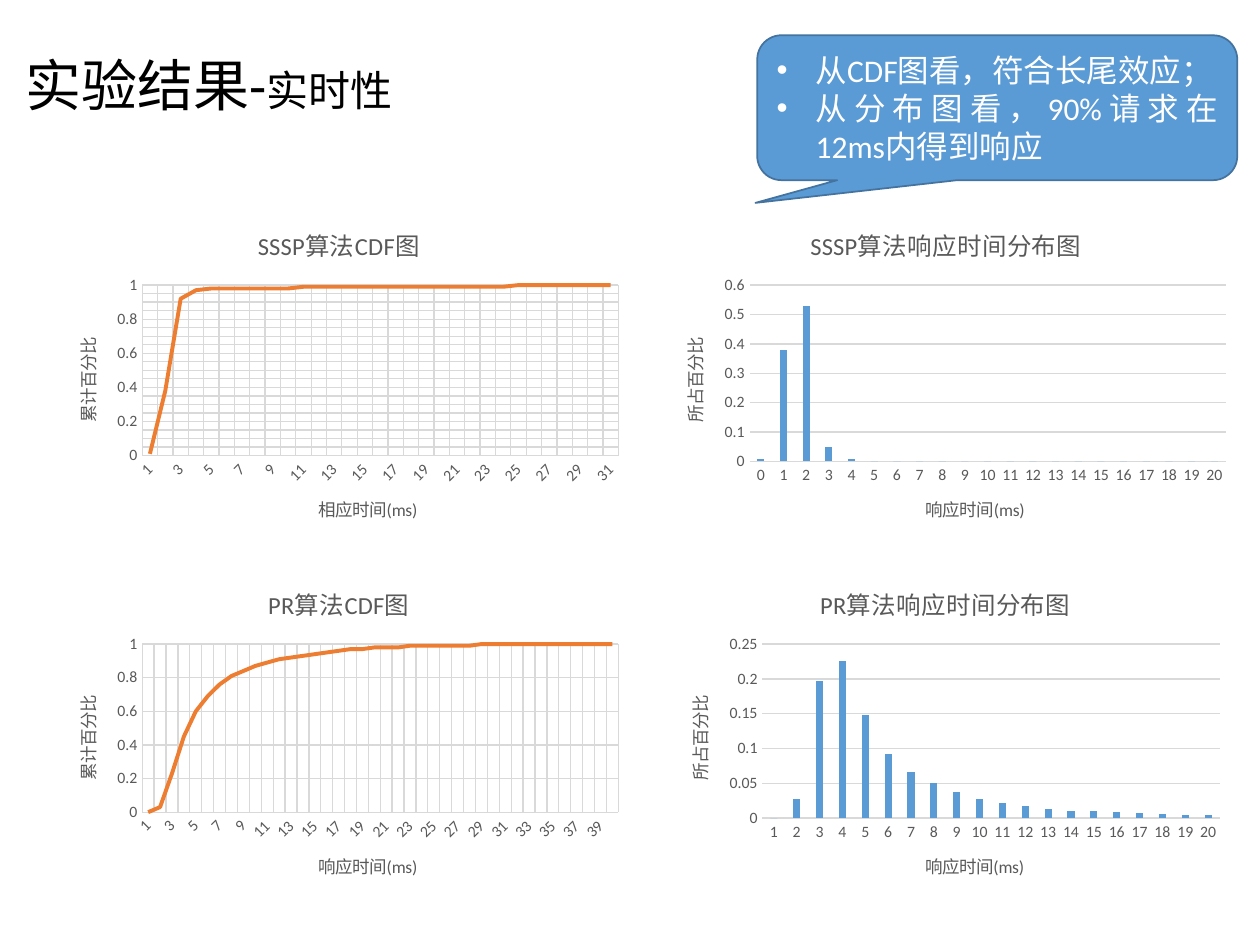
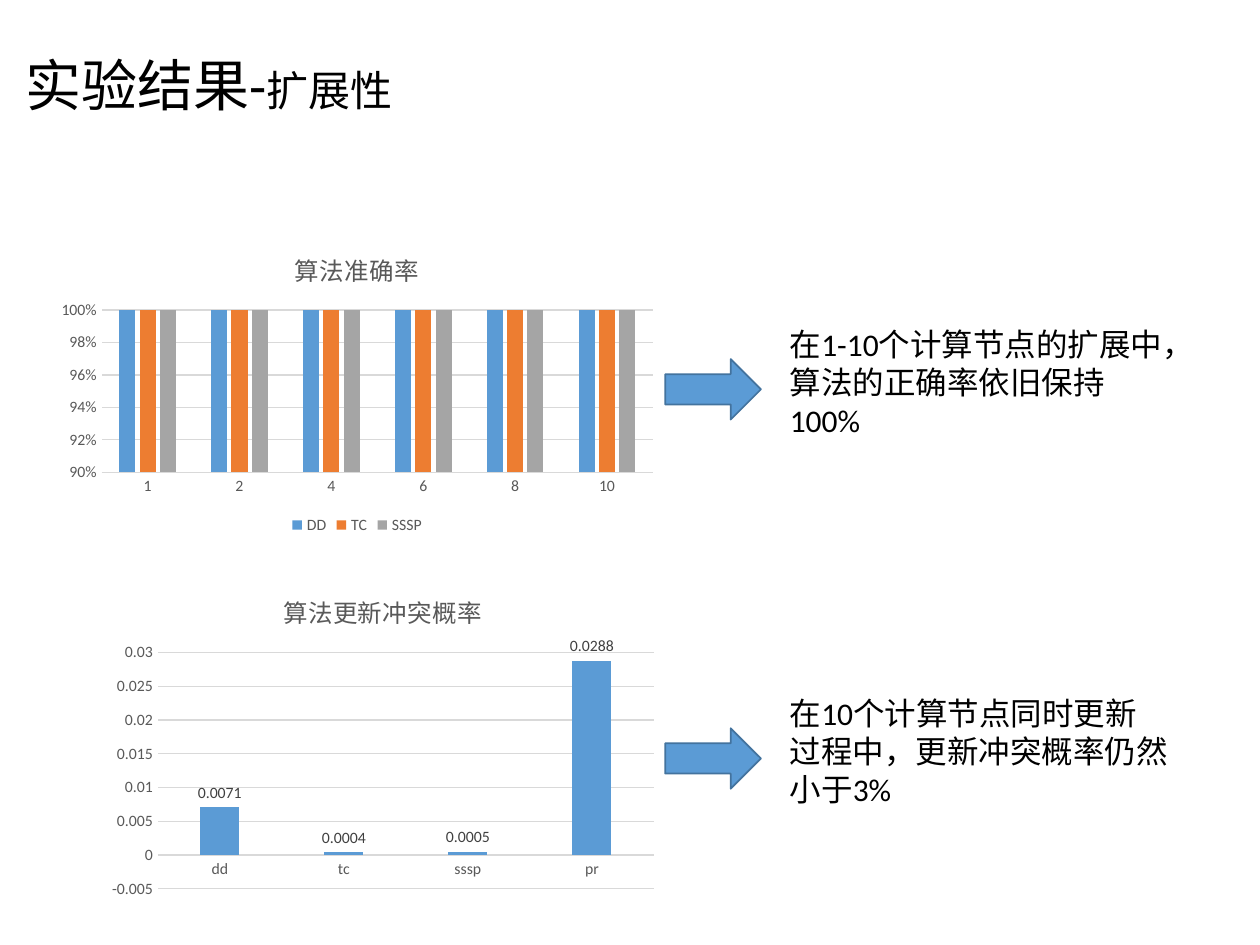
from collections import namedtuple
from copy import deepcopy

from lxml.etree import SubElement
from pptx import Presentation
from pptx.chart.data import CategoryChartData
from pptx.dml.color import RGBColor
from pptx.enum.chart import XL_CHART_TYPE as ChartType
from pptx.enum.chart import XL_LABEL_POSITION as LabelPos
from pptx.enum.chart import XL_LEGEND_POSITION as LegendPos
from pptx.enum.chart import XL_TICK_MARK as TickMark
from pptx.enum.shapes import MSO_SHAPE as Preset
from pptx.enum.text import MSO_ANCHOR as Anchor
from pptx.enum.text import PP_ALIGN as Align
from pptx.oxml.ns import qn
from pptx.util import Inches, Pt

FONT = "Calibri"
COLORS = {
    "blue": "5B9BD5", "orange": "ED7D31", "gray": "A5A5A5", "edge": "43739E",
    "grid": "D9D9D9", "label": "595959", "value": "404040",
    "text": "000000", "on_blue": "FFFFFF",
}
WIDTH, HEIGHT = Inches(10), Inches(7.5)
COL, ROW = WIDTH / 100, HEIGHT / 75  # square grid cells

Box = namedtuple("Box", "left top width height")  # in columns and rows

TITLE_BOX = Box(1, 4.3, 86.2, 5.4)
CDF_LEFT, SHARE_LEFT = 3.8, 52
UPPER_TOP, LOWER_TOP = 16.3, 44.8


def place(box):
    return (round(box.left * COL), round(box.top * ROW),
            round(box.width * COL), round(box.height * ROW))


def color(name):
    return RGBColor.from_string(COLORS[name])


def style_font(font, size, shade):
    font.size, font.name, font.bold = Pt(size), FONT, False
    font.color.rgb = color(shade)


def add_run(paragraph, text, size, shade="text"):
    run = paragraph.add_run()
    run.text = text
    style_font(run.font, size, shade)


def add_blue_shape(slide, preset, box):
    shape = slide.shapes.add_shape(preset, *place(box))
    shape.shadow.inherit = False
    shape.fill.solid()
    shape.fill.fore_color.rgb = color("blue")
    shape.line.color.rgb = color("edge")
    shape.line.width = Pt(1)
    return shape


def add_text_frame(slide, box):
    frame = slide.shapes.add_textbox(*place(box)).text_frame
    frame.word_wrap = True
    return frame


def add_title(slide, topic):
    frame = add_text_frame(slide, TITLE_BOX)
    frame.vertical_anchor = Anchor.MIDDLE
    heading = frame.paragraphs[0]
    heading.line_spacing = 0.9
    add_run(heading, "实验结果-", 32)
    add_run(heading, topic, 24)


def add_callout(slide, box, findings):
    callout = add_blue_shape(slide, Preset.ROUNDED_RECTANGULAR_CALLOUT, box)
    for index, share in enumerate((-0.504, 0.657, 0.167)):
        callout.adjustments[index] = share
    frame = callout.text_frame
    frame.word_wrap = True
    frame.vertical_anchor = Anchor.MIDDLE
    for index, finding in enumerate(findings):
        paragraph = frame.add_paragraph() if index else frame.paragraphs[0]
        paragraph.alignment = Align.JUSTIFY
        properties = paragraph._p.get_or_add_pPr()
        indent = Inches(0.31)
        properties.set("marL", str(indent))
        properties.set("indent", str(-indent))
        SubElement(properties, qn("a:buFont"), typeface="Arial")
        SubElement(properties, qn("a:buChar"), char="•")
        add_run(paragraph, finding, 18, "on_blue")


def style_line(line, shade, width):
    line.color.rgb = color(shade)
    line.width = Pt(width)


def add_gridlines(axis):
    axis.has_major_gridlines = True
    style_line(axis.major_gridlines.format.line, "grid", 0.75)


def add_minor_gridlines(axis, unit):
    axis.has_minor_gridlines = True
    axis.minor_unit = unit
    major = axis._element.find(qn("c:majorGridlines"))
    minor = axis._element.find(qn("c:minorGridlines"))
    minor.append(deepcopy(major.find(qn("c:spPr"))))


def style_axis(axis, title, turn):
    """Set tick labels and, if there is one, the axis title turned by degrees."""
    axis.major_tick_mark = axis.minor_tick_mark = TickMark.NONE
    style_font(axis.tick_labels.font, 9, "label")
    labels = axis._element.find(qn("c:txPr")).find(qn("a:bodyPr"))
    labels.set("rot", "-60000000")
    axis.has_title = bool(title)
    if title:
        frame = axis.axis_title.text_frame
        add_run(frame.paragraphs[0], title, 10, "label")
        body = axis.axis_title._element.find(".//" + qn("a:bodyPr"))
        body.set("rot", str(turn * 60000))
        body.set("vert", "horz")


def add_chart(slide, box, kind, title, categories, series, axis_titles=("", ""),
              low=None, high=None):
    """Add a chart; series is a list of (name, values, colour name)."""
    data = CategoryChartData()
    data.categories = [str(category) for category in categories]
    for name, values, _ in series:
        data.add_series(name, values)
    chart = slide.shapes.add_chart(kind, *place(box), data).chart
    chart.font.size, chart.font.name = Pt(10), FONT
    chart.has_legend = False
    chart.has_title = True
    add_run(chart.chart_title.text_frame.paragraphs[0], title, 14, "label")
    chart.chart_title.include_in_layout = False

    across, upward = chart.category_axis, chart.value_axis
    style_axis(across, axis_titles[0], 0)
    style_axis(upward, axis_titles[1], -90)
    style_line(across.format.line, "grid", 0.75)
    upward.format.line.fill.background()
    add_gridlines(upward)
    upward.minimum_scale, upward.maximum_scale = low, high

    plot = chart.plots[0]
    plot.vary_by_categories = False
    for drawn, (_, _, shade) in zip(plot.series, series):
        if kind == ChartType.LINE:
            drawn.smooth = False
            style_line(drawn.format.line, shade, 2.25)
        else:
            drawn.format.fill.solid()
            drawn.format.fill.fore_color.rgb = color(shade)
    if kind == ChartType.COLUMN_CLUSTERED:
        plot.gap_width, plot.overlap = 219, -27
    return chart


def add_cdf_chart(slide, box, algorithm, time_title, shares):
    chart = add_chart(slide, box, ChartType.LINE, algorithm + "算法CDF图",
                      range(1, len(shares) + 1),
                      [("累计百分比", shares, "orange")],
                      (time_title, "累计百分比"), high=1)
    add_gridlines(chart.category_axis)
    return chart


def add_share_chart(slide, box, algorithm, first_ms, shares):
    add_chart(slide, box, ChartType.COLUMN_CLUSTERED,
              algorithm + "算法响应时间分布图",
              range(first_ms, first_ms + len(shares)),
              [("所占百分比", shares, "blue")],
              ("响应时间(ms)", "所占百分比"))


def add_accuracy_chart(slide, box):
    algorithms = {"DD": "blue", "TC": "orange", "SSSP": "gray"}
    nodes = (1, 2, 4, 6, 8, 10)
    chart = add_chart(slide, box, ChartType.COLUMN_CLUSTERED, "算法准确率", nodes,
                      [(name, [1] * len(nodes), shade)
                       for name, shade in algorithms.items()],
                      low=0.9, high=1)
    ticks = chart.value_axis.tick_labels
    ticks.number_format, ticks.number_format_is_linked = "0%", False
    chart.has_legend = True
    chart.legend.position = LegendPos.BOTTOM
    chart.legend.include_in_layout = False
    style_font(chart.legend.font, 9, "label")


def add_conflict_chart(slide, box):
    chart = add_chart(slide, box, ChartType.COLUMN_CLUSTERED, "算法更新冲突概率",
                      ("dd", "tc", "sssp", "pr"),
                      [("冲突概率", (0.0071, 0.0004, 0.0005, 0.0288), "blue")],
                      low=-0.005, high=0.03)
    chart.value_axis.major_unit = 0.005
    plot = chart.plots[0]
    plot.has_data_labels = True
    labels = plot.data_labels
    labels.show_value, labels.position = True, LabelPos.OUTSIDE_END
    style_font(labels.font, 9, "value")


def add_conclusion(slide, box, text):
    """Put an arrow at the left of the box and the conclusion to its right."""
    add_blue_shape(slide, Preset.RIGHT_ARROW,
                   Box(box.left, box.top + 3.2, 7.6, 4.8))
    frame = add_text_frame(slide, Box(box.left + 8.9, box.top,
                                      box.width - 8.9, box.height))
    add_run(frame.paragraphs[0], text, 18)


def build_latency_slide(slide):
    sssp_cdf = [0.01, 0.38, 0.92, 0.97] + [0.98] * 6 + [0.99] * 14 + [1] * 7
    sssp_shares = [0.01, 0.38, 0.53, 0.05, 0.01] + [0] * 16
    pr_shares = [0, 0.028, 0.197, 0.225, 0.148, 0.092, 0.066, 0.05, 0.037, 0.027,
                 0.022, 0.017, 0.013, 0.01, 0.01, 0.009, 0.007, 0.006, 0.005, 0.004]
    pr_cdf = [0, 0.03, 0.23, 0.45, 0.6, 0.69, 0.76, 0.81, 0.84, 0.87, 0.89, 0.91,
              0.92, 0.93, 0.94, 0.95, 0.96, 0.97, 0.97]
    pr_cdf += [0.98] * 3 + [0.99] * 6 + [1] * 12

    sssp = add_cdf_chart(slide, Box(CDF_LEFT, UPPER_TOP, 46.2, 27.2), "SSSP",
                         "相应时间(ms)", sssp_cdf)
    add_minor_gridlines(sssp.value_axis, 0.1)
    add_share_chart(slide, Box(SHARE_LEFT, UPPER_TOP, 46.2, 27.2), "SSSP", 0,
                    sssp_shares)
    add_share_chart(slide, Box(SHARE_LEFT + 0.4, LOWER_TOP, 45.3, 27), "PR", 1,
                    pr_shares)
    add_cdf_chart(slide, Box(CDF_LEFT, LOWER_TOP, 46.2, 27), "PR",
                  "响应时间(ms)", pr_cdf)
    add_callout(slide, Box(60.1, 2.8, 38.1, 11.5),
                ("从CDF图看，符合长尾效应；",
                 "从分布图看，90%请求在12ms内得到响应"))
    add_title(slide, "实时性")


def build_scaling_slide(slide):
    add_conflict_chart(slide, Box(8, 45.5, 44.8, 26.3))
    add_accuracy_chart(slide, Box(3.9, 18.4, 48.9, 24.4))
    add_conclusion(slide, Box(52.8, 25.3, 40.9, 10.1),
                   "在1-10个计算节点的扩展中，算法的正确率依旧保持100%")
    add_conclusion(slide, Box(52.8, 54.6, 40.9, 10.1),
                   "在10个计算节点同时更新过程中，更新冲突概率仍然小于3%")
    add_title(slide, "扩展性")


def main():
    deck = Presentation()
    deck.slide_width, deck.slide_height = WIDTH, HEIGHT
    blank = deck.slide_layouts[6]
    for build in (build_latency_slide, build_scaling_slide):
        build(deck.slides.add_slide(blank))
    deck.save("out.pptx")


if __name__ == "__main__":
    main()
